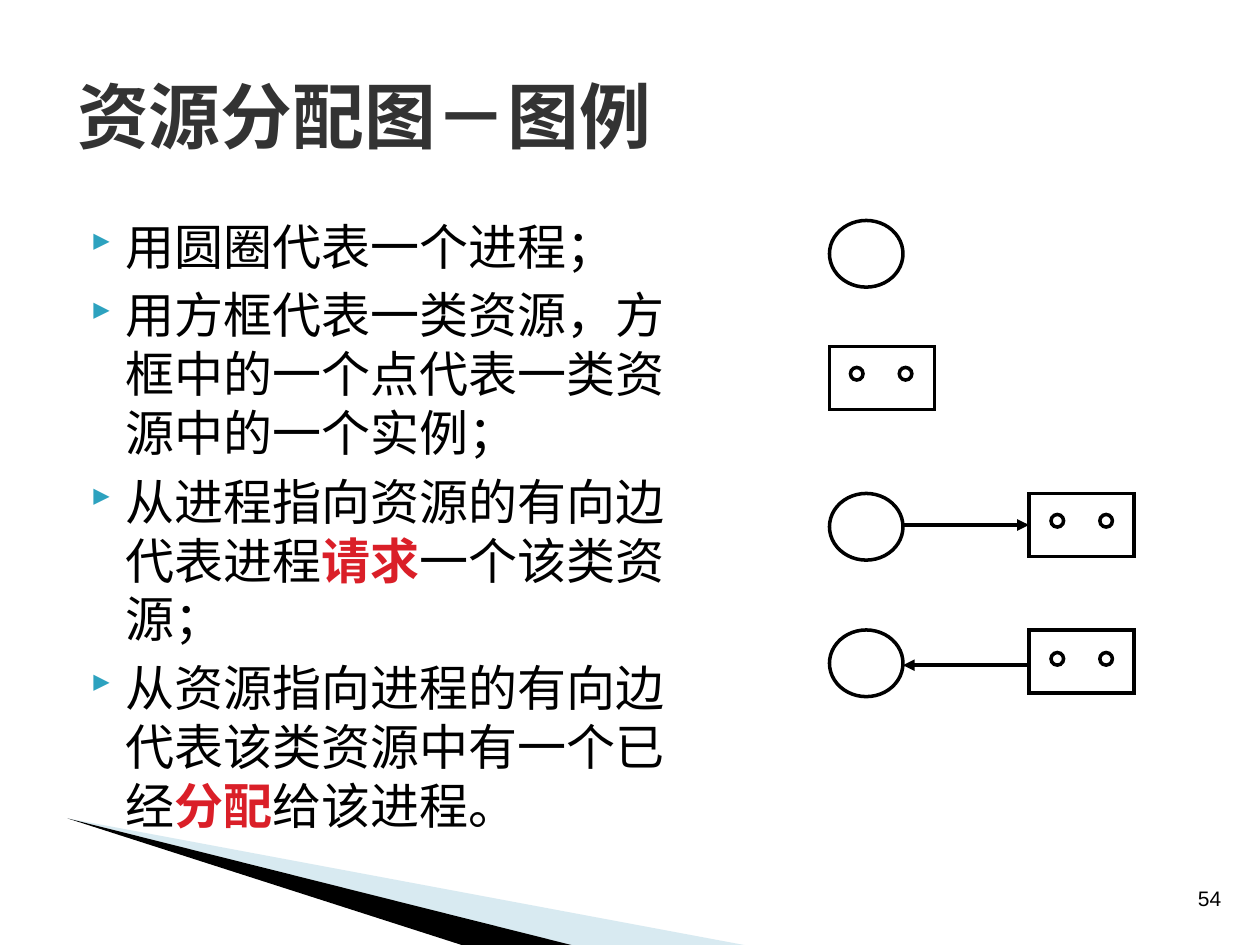
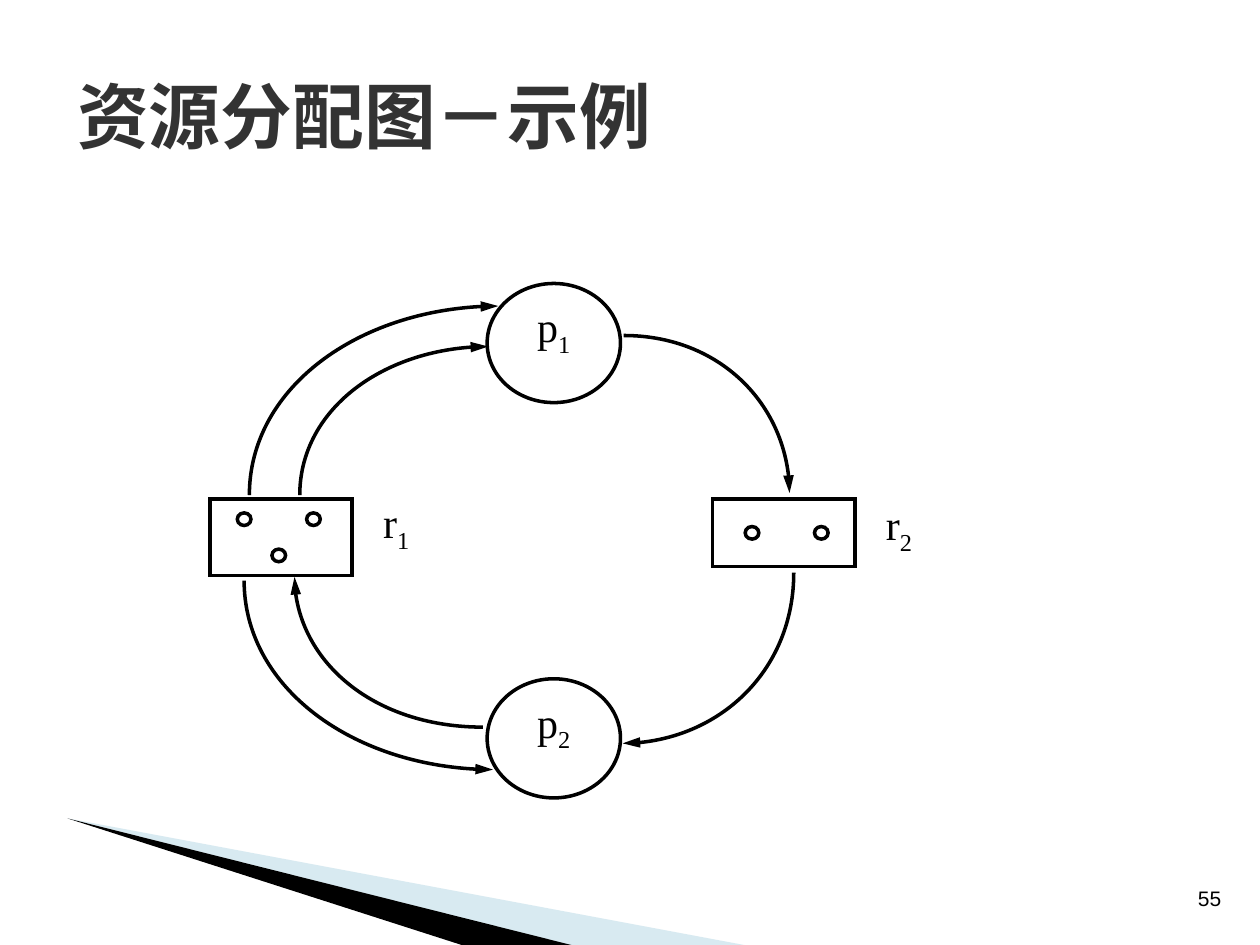
from math import cos, radians, sin

from lxml import etree
from pptx import Presentation, util as u
from pptx.dml.color import RGBColor
from pptx.enum import shapes, text
from pptx.oxml import ns

COLOURS = {"ink": "000000", "paper": "FFFFFF", "title": "333333",
           "accent": "DA1F28", "bullet": "2DA2BF", "band": "9FCBDC"}
SERIF, SANS, CJK = "Times New Roman", "Arial", "Noto Sans CJK SC"
FORMATS = {
    "title": {"size": u.Pt(41), "bold": True},
    "body": {"size": u.Pt(28), "name": SERIF, "bold": False},
    "key": {"size": u.Pt(28), "name": SERIF, "bold": True},
    "label": {"size": u.Pt(24), "name": SERIF},
    "page": {"size": u.Pt(12), "name": SANS},
}
NO_INSETS = {"margin_left": 0, "margin_right": 0, "margin_top": 0, "margin_bottom": 0}
COLS, ROWS = 120, 90
BEZIER = 0.55  # handle length of a quarter circle of radius 1

prs = Presentation()
prs.slide_width, prs.slide_height = u.Inches(10), u.Inches(7.5)
CELL = prs.slide_width // COLS


def cells(*values):
    """Turn grid cells into slide lengths."""
    return [round(v * CELL) for v in values]


def rgb(name):
    return RGBColor.from_string(COLOURS[name])


def assign(target, values):
    for name, value in values.items():
        setattr(target, name, value)


def child(parent, tag, **attrs):
    return etree.SubElement(parent, ns.qn(tag), attrs)


def add_run(p, words, style, colour="ink", **extra):
    r = p.add_run()
    r.text = words
    assign(r.font, FORMATS[style] | extra)
    r.font.color.rgb = rgb(colour)
    return r


def add_text(s, box, **frame):
    """Add an empty text box and return its text frame."""
    tf = s.shapes.add_textbox(*cells(*box)).text_frame
    assign(tf, {"word_wrap": True} | frame)
    return tf


def add_symbol(p, letter, index):
    """Write a letter with a subscript index."""
    add_run(p, letter, "label")
    sub = add_run(p, index, "label")
    sub.font._element.set("baseline", "-25000")


def ink_line(sp, width=2, arrow=None, length="med"):
    """Draw a black outline, with an arrowhead at 'headEnd' or 'tailEnd'."""
    sp.line.color.rgb = rgb("ink")
    sp.line.width = u.Pt(width)
    ln = sp.line._get_or_add_ln()
    child(ln, "a:miter", lim="800000")
    if arrow:
        child(ln, "a:" + arrow, type="triangle", len=length)


def outlined(s, kind, box):
    sp = s.shapes.add_shape(kind, *cells(*box))
    sp.shadow.inherit = False
    sp.fill.solid()
    sp.fill.fore_color.rgb = rgb("paper")
    ink_line(sp)
    return sp


def process(s, box):
    return outlined(s, shapes.MSO_SHAPE.OVAL, box)


def resource(s, box, dots, dot_size):
    """Draw a resource box with its instances at offsets inside it."""
    outlined(s, shapes.MSO_SHAPE.RECTANGLE, box)
    for dx, dy in dots:
        process(s, (box[0] + dx, box[1] + dy, *dot_size))


def straight_arrow(s, x1, x2, y, arrow):
    line = s.shapes.add_connector(shapes.MSO_CONNECTOR.STRAIGHT, *cells(x1, y, x2, y))
    ink_line(line, 2.25, arrow)
    child(line._element.spPr, "a:effectLst")


def freeform(s, points, close=True):
    first, *rest = [cells(*point) for point in points]
    builder = s.shapes.build_freeform(*first)
    builder.add_line_segments(rest, close=close)
    sp = builder.convert_to_shape()
    sp.shadow.inherit = False
    return sp


def quarter_arrow(s, cx, cy, rx, ry, start, arrow):
    """Draw a clockwise quarter of an ellipse from the start angle."""
    c, d = cos(radians(start)), sin(radians(start))
    points = [(cx + rx * (a * c - b * d), cy + ry * (a * d + b * c))
              for a, b in ((1, 0), (1, BEZIER), (BEZIER, 1), (0, 1))]
    sp = freeform(s, points, close=False)
    segments = sp._element.spPr.findall(".//" + ns.qn("a:lnTo"))
    curve = child(segments[0].getparent(), "a:cubicBezTo")
    for segment in segments:
        curve.append(segment[0])
        segment.getparent().remove(segment)
    sp.fill.background()
    ink_line(sp, arrow=arrow, length="lg")


def wedge(s, points, colour, alpha=None):
    sp = freeform(s, points)
    sp.fill.solid()
    sp.fill.fore_color.rgb = rgb(colour)
    sp.line.fill.background()
    if alpha:
        clr = sp._element.spPr.find(".//" + ns.qn("a:srgbClr"))
        child(clr, "a:alpha", val=str(alpha * 1000))


def new_slide(title, page, title_font):
    """Add a slide with the corner wedges, page number and title."""
    s = prs.slides.add_slide(prs.slide_layouts[6])
    tip = (6.45, 77.95)
    wedge(s, [tip, (71.4, ROWS + 0.1), (54.7, ROWS + 0.1)], "band", 40)
    wedge(s, [tip, (54.8, ROWS + 0.1), (44.6, ROWS + 0.2)], "ink")
    tf = add_text(s, (112.8, 83.7, 4.8, 3.6), word_wrap=False,
                  vertical_anchor=text.MSO_ANCHOR.MIDDLE)
    tf.paragraphs[0].alignment = text.PP_ALIGN.CENTER
    add_run(tf.paragraphs[0], str(page), "page")
    tf = add_text(s, (6.17, 3.4, 108, 15), vertical_anchor=text.MSO_ANCHOR.MIDDLE)
    add_run(tf.paragraphs[0], title, "title", "title", name=title_font)
    return s


def bullet_list(s, box, items):
    """Each item is a list of strings; every second string is a key word."""
    tf = add_text(s, box)
    for i, parts in enumerate(items):
        p = tf.add_paragraph() if i else tf.paragraphs[0]
        pPr = p._p.get_or_add_pPr()
        pPr.set("marL", str(u.Inches(0.4)))
        pPr.set("indent", str(u.Inches(-0.28)))
        child(child(pPr, "a:buClr"), "a:srgbClr", val=COLOURS["bullet"])
        child(pPr, "a:buSzPct", val="68000")
        child(pPr, "a:buFont", typeface="Wingdings 3", charset="2")
        child(pPr, "a:buChar", char="}")
        if i:
            p.space_before = u.Pt(5.6)
        for j, words in enumerate(parts):
            add_run(p, words, *(("key", "accent") if j % 2 else ("body",)))


def legend(s, box):
    """Show the symbols, then the request and allocation edges."""
    left, top, width, _ = box
    circle_w, rect_w = 7, 10
    right = left + width - rect_w

    def circle(y):
        process(s, (left, y, circle_w, 6.35))

    def square(x, y, dx=2.1, dy=2):
        resource(s, (x, y, rect_w, 6), [(dx, dy), (dx + 4.65, dy)], (1.2, 1.2))

    circle(top)
    square(left, top + 12, 2)
    for row, dot_y, edge_y, arrow in ((26, 2, 3, "tailEnd"), (39, 2.15, 3.35, "headEnd")):
        circle(top + row)
        square(right, top + row, dy=dot_y)
        straight_arrow(s, left + circle_w, right, top + row + edge_y, arrow)


def allocation_graph(s, box):
    """Draw two processes and two resources joined in a ring."""
    left, top, _, height = box
    circle_w, circle_h = 12.7, 11.35
    for index, y in (("1", top), ("2", top + height - circle_h)):
        tf = process(s, (left + 26.4, y, circle_w, circle_h)).text_frame
        assign(tf, NO_INSETS | {"vertical_anchor": text.MSO_ANCHOR.TOP})
        tf.paragraphs[0].alignment = text.PP_ALIGN.CENTER
        add_symbol(tf.paragraphs[0], "p", index)

    y = top + 20.5
    for index, dx, h, label_y, dots in (
            ("1", 0, 7.3, -0.2, [(2.6, 1.35), (9.2, 1.35), (5.9, 4.8)]),
            ("2", 47.87, 6.45, 0, [(3.1, 2.65), (9.7, 2.65)])):
        resource(s, (left + dx, y, 13.55, h), dots, (1.3, 1.2))
        tf = add_text(s, (left + dx + 16.5, y + label_y, 4.6, 6.4), **NO_INSETS)
        tf.paragraphs[0].alignment = text.PP_ALIGN.JUSTIFY
        add_symbol(tf.paragraphs[0], "r", index)

    for cx, cy, rx, ry, start, arrow in (
            (26.5, 20.15, 17.95, 14.15, 180, "tailEnd"),
            (27.45, 20.15, 23.7, 18, 180, "tailEnd"),
            (39.3, 27.55, 16.3, 16.25, 0, "tailEnd"),
            (39.4, 19.95, 15.8, 15, 270, "tailEnd"),
            (26, 27.95, 17.95, 14.3, 90, "tailEnd"),
            (26.95, 28.3, 23.7, 18, 90, "headEnd")):
        quarter_arrow(s, left + cx, top + cy, rx, ry, start, arrow)


def main():
    s = new_slide("资源分配图－图例", 54, SERIF)
    bullet_list(s, (6, 20, 63, 62), [
        ["用圆圈代表一个进程；"],
        ["用方框代表一类资源，方框中的一个点代表一类资源中的一个实例；"],
        ["从进程指向资源的有向边代表进程", "请求", "一个该类资源；"],
        ["从资源指向进程的有向边代表该类资源中有一个已经", "分配", "给该进程。"],
    ])
    legend(s, (79, 21, 29, 45.4))

    s = new_slide("资源分配图－示例", 55, CJK)
    allocation_graph(s, (20, 27, 66, 49))
    prs.save("out.pptx")


if __name__ == "__main__":
    main()
